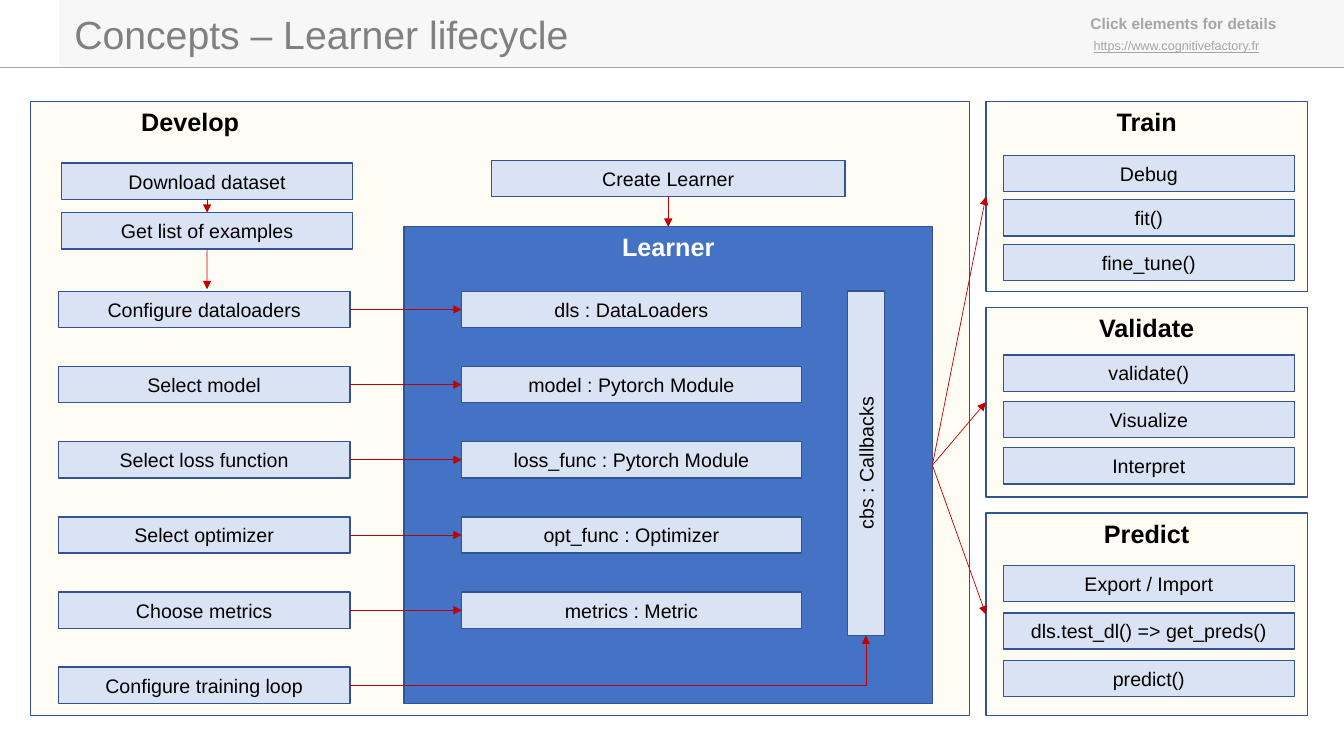
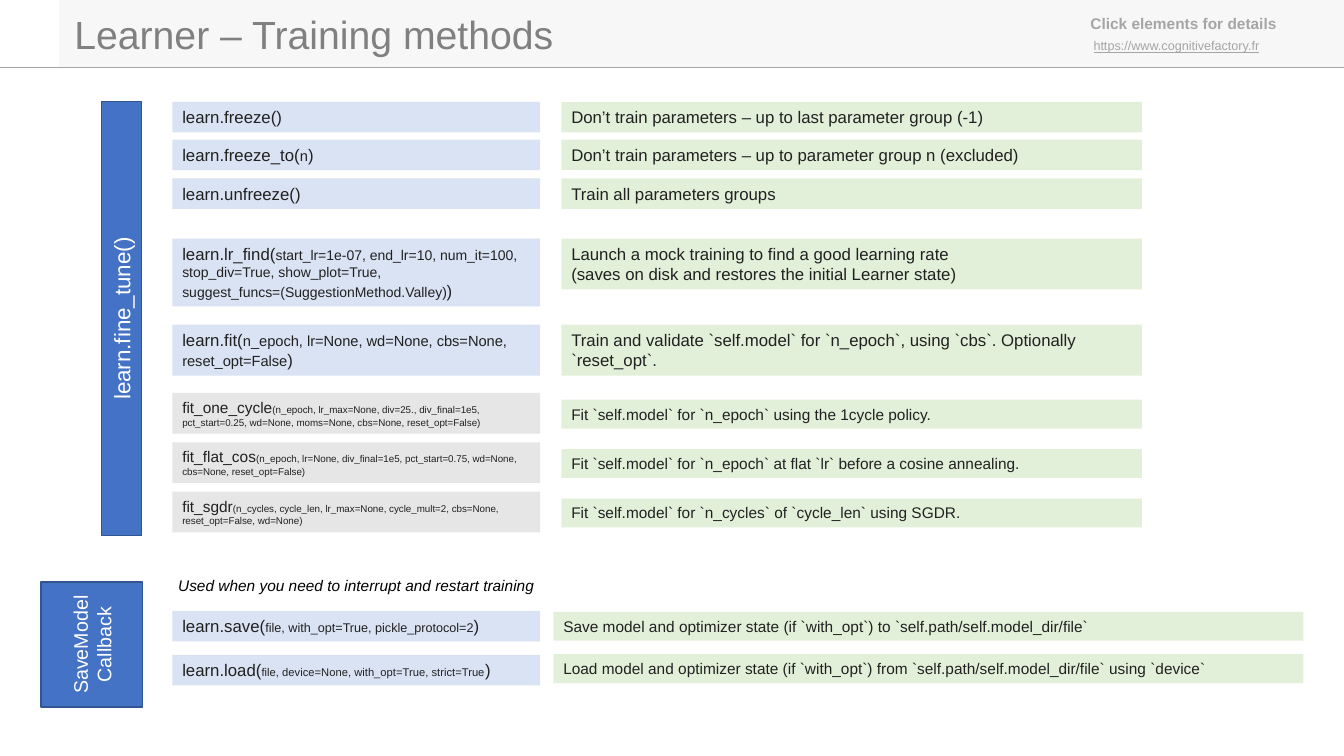
from lxml.etree import SubElement
from pptx import Presentation
from pptx.dml.color import RGBColor
from pptx.enum.shapes import MSO_CONNECTOR, MSO_SHAPE
from pptx.enum.text import MSO_ANCHOR, PP_ALIGN
from pptx.oxml.ns import qn
from pptx.util import Pt

FONT = "Arial"
BLACK, WHITE, INK = "000000", "FFFFFF", "212121"
GRAY, TITLE_GRAY, BAND = "A5A5A5", "808080", "F7F7F7"
CREAM, BLUE, PALE_BLUE, NAVY = "FFFCF3", "4472C4", "DAE3F3", "325491"
PALE_GREEN, PALE_GRAY, RED = "E2F0D9", "E7E6E6", "C00000"
TOP, RIGHT, BOTTOM, LEFT = 0, 3, 2, 1

BOX_WIDTH, BOX_HEIGHT = 208.1, 25.9
ROW_TOP, ROW_STEP = 208.1, 53.7
CODE_LEFT, CODE_WIDTH = 123.1, 262.8


def color(value):
    return RGBColor.from_string(value)


def style_run(run, size, ink, bold=None, italic=None, underline=None):
    font = run.font
    font.name, font.size = FONT, Pt(size)
    font.bold, font.italic, font.underline = bold, italic, underline
    font.color.rgb = color(ink)


def write(shape, text, size, ink, align=PP_ALIGN.LEFT, anchor=MSO_ANCHOR.TOP, **emphasis):
    frame = shape.text_frame
    frame.word_wrap = True
    frame.vertical_anchor = anchor
    frame.text = text
    for paragraph in frame.paragraphs:
        paragraph.alignment = align
        for run in paragraph.runs:
            style_run(run, size, ink, **emphasis)


def add_rectangle(slide, left, top, width, height, fill, outline=None):
    shape = slide.shapes.add_shape(MSO_SHAPE.RECTANGLE, Pt(left), Pt(top), Pt(width), Pt(height))
    shape.shadow.inherit = False
    shape.fill.solid()
    shape.fill.fore_color.rgb = color(fill)
    if outline:
        shape.line.color.rgb = color(outline)
        shape.line.width = Pt(1)
    else:
        shape.line.fill.background()
    return shape


def add_label(slide, left, top, width, height, text, size, ink, **emphasis):
    label = slide.shapes.add_textbox(Pt(left), Pt(top), Pt(width), Pt(height))
    write(label, text, size, ink, **emphasis)


def add_panel(slide, left, top, width, height, heading, fill=CREAM, ink=BLACK):
    panel = add_rectangle(slide, left, top, width, height, fill, NAVY)
    write(panel, heading, 18, ink, PP_ALIGN.CENTER, bold=True)
    return panel


def add_box(slide, left, top, text, width=BOX_WIDTH):
    box = add_rectangle(slide, left, top, width, BOX_HEIGHT, PALE_BLUE, NAVY)
    write(box, text, 14, BLACK, PP_ALIGN.CENTER, MSO_ANCHOR.MIDDLE)
    return box


def add_upright_box(slide, left, top, width, height, text, size, fill, ink):
    """Box reading from bottom to top; the arguments give its place as seen."""
    shift = (height - width) / 2
    box = add_rectangle(slide, left - shift, top + shift, height, width, fill, NAVY)
    box.rotation = 270
    write(box, text, size, ink, PP_ALIGN.CENTER, MSO_ANCHOR.MIDDLE)


def add_line(slide, start, end, ink, kind=MSO_CONNECTOR.STRAIGHT):
    line = slide.shapes.add_connector(kind, *(Pt(value) for value in (*start, *end)))
    line.line.color.rgb = color(ink)
    line.line.width = Pt(0.5)
    SubElement(line.element.spPr, qn("a:effectLst"))
    return line


def add_arrow(slide, start=(0, 0), end=(0, 0), kind=MSO_CONNECTOR.STRAIGHT):
    arrow = add_line(slide, start, end, RED, kind)
    SubElement(arrow.line._get_or_add_ln(), qn("a:tailEnd"), type="triangle")
    return arrow


def join(slide, source, source_side, target, target_side):
    arrow = add_arrow(slide)
    arrow.begin_connect(source, source_side)
    arrow.end_connect(target, target_side)


def add_titled_slide(presentation, title):
    slide = presentation.slides.add_slide(presentation.slide_layouts[6])
    add_rectangle(slide, 42.5, 0, 917.5, 48.2, BAND)
    add_line(slide, (0, 48.2), (960, 48.2), GRAY)
    add_label(slide, 771.8, 6.5, 152.6, 20.9, "Click elements for details", 11, GRAY, bold=True)
    add_label(slide, 774, 23.8, 150.5, 18, "https://www.cognitivefactory.fr", 9, GRAY, underline=True)
    add_label(slide, 46, 4, 375, 41, title, 28, TITLE_GRAY)
    return slide


def add_lifecycle_slide(presentation):
    slide = add_titled_slide(presentation, "Concepts – Learner lifecycle")
    develop = add_panel(slide, 21.6, 72.7, 671, 438.5, "Develop")
    develop.text_frame.margin_left = Pt(79.2)
    develop.text_frame.paragraphs[0].alignment = PP_ALIGN.LEFT
    learner = add_panel(slide, 288.7, 162, 377.3, 340.6, "Learner", BLUE, WHITE)

    download = add_box(slide, 43.9, 116.6, "Download dataset")
    examples = add_box(slide, 43.9, 151.9, "Get list of examples")
    join(slide, download, BOTTOM, examples, TOP)
    add_arrow(slide, end=(147.9, 206.6)).begin_connect(examples, BOTTOM)
    create = add_box(slide, 351, 114.5, "Create Learner", 252.7)
    join(slide, create, BOTTOM, learner, TOP)

    steps = [
        ("Configure dataloaders", "dls : DataLoaders"),
        ("Select model", "model : Pytorch Module"),
        ("Select loss function", "loss_func : Pytorch Module"),
        ("Select optimizer", "opt_func : Optimizer"),
        ("Choose metrics", "metrics : Metric"),
    ]
    for index, (step, attribute) in enumerate(steps):
        top = ROW_TOP + index * ROW_STEP
        step_box = add_box(slide, 41.8, top, step)
        attribute_box = add_box(slide, 329.8, top, attribute, 242.6)
        join(slide, step_box, RIGHT, attribute_box, LEFT)

    loop_top = ROW_TOP + len(steps) * ROW_STEP
    add_box(slide, 41.8, loop_top, "Configure training loop")
    add_upright_box(slide, 605.2, 207.7, 26.6, 246.2, "cbs : Callbacks", 14, PALE_BLUE, BLACK)
    elbow = add_arrow(slide, (249.9, loop_top + BOX_HEIGHT / 2), (618.5, 454), MSO_CONNECTOR.ELBOW)
    elbow.element.spPr.find(qn("a:prstGeom")).set("prst", "bentConnector2")

    phases = [
        ("Train", 72.7, 135.4, 110.9, 31.8, ["Debug", "fit()", "fine_tune()"]),
        ("Validate", 219.6, 135.4, 253.6, 33.1, ["validate()", "Visualize", "Interpret"]),
        ("Predict", 366.5, 144.7, 404, 33.8,
         ["Export / Import", "dls.test_dl() => get_preds()", "predict()"]),
    ]
    for heading, top, height, first_top, step, actions in phases:
        panel = add_panel(slide, 704.2, top, 229.7, height, heading)
        for index, action in enumerate(actions):
            add_box(slide, 716.6, first_top + index * step, action)
        join(slide, learner, RIGHT, panel, LEFT)


def add_code(slide, top, height, fill, pieces):
    """Box with one signature, given as (text, size) pieces."""
    box = add_rectangle(slide, CODE_LEFT, top, CODE_WIDTH, height, fill)
    (name, name_size), *others = pieces
    write(box, name, name_size, INK)
    for text, size in others:
        run = box.text_frame.paragraphs[0].add_run()
        run.text = text
        style_run(run, size, INK)


def add_description(slide, top, height, text, size, left=401, width=414.7):
    box = add_rectangle(slide, left, top, width, height, PALE_GREEN)
    write(box, text, size, INK)


def add_methods_slide(presentation):
    slide = add_titled_slide(presentation, "Learner – Training methods")
    add_upright_box(slide, 72.4, 72.4, 28.8, 310.3, "learn.fine_tune()", 16, BLUE, WHITE)
    add_upright_box(slide, 29.2, 415.8, 72.7, 89.3, "SaveModel\nCallback", 14, BLUE, WHITE)

    methods = [
        (72.7, 21.8, 21.8, [("learn.freeze()", 12)],
         "Don’t train parameters – up to last parameter group (-1)"),
        (99.7, 21.8, 21.8, [("learn.freeze_to(", 12), ("n", 10.5), (")", 12)],
         "Don’t train parameters – up to parameter group n (excluded)"),
        (127.4, 21.8, 21.8, [("learn.unfreeze()", 12)], "Train all parameters groups"),
        (170.4, 48.5, 36.4,
         [("learn.lr_find(", 12),
          ("start_lr=1e-07, end_lr=10, num_it=100, stop_div=True, show_plot=True, "
           "suggest_funcs=(SuggestionMethod.Valley)", 10), (")", 12)],
         "Launch a mock training to find a good learning rate\v"
         "(saves on disk and restores the initial Learner state)"),
        (232, 36.4, 36.4,
         [("learn.fit(", 12),
          ("n_epoch, lr=None, wd=None, cbs=None, reset_opt=False", 10.5), (")", 12)],
         "Train and validate `self.model` for `n_epoch`, using `cbs`. Optionally `reset_opt`."),
    ]
    for top, code_height, description_height, pieces, description in methods:
        add_code(slide, top, code_height, PALE_BLUE, pieces)
        add_description(slide, top, description_height, description, 12)

    schedules = [
        ("fit_one_cycle",
         "(n_epoch, lr_max=None, div=25., div_final=1e5, pct_start=0.25, wd=None, "
         "moms=None, cbs=None, reset_opt=False)",
         "Fit `self.model` for `n_epoch` using the 1cycle policy."),
        ("fit_flat_cos",
         "(n_epoch, lr=None, div_final=1e5, pct_start=0.75, wd=None, cbs=None, reset_opt=False)",
         "Fit `self.model` for `n_epoch` at flat `lr` before a cosine annealing."),
        ("fit_sgdr",
         "(n_cycles, cycle_len, lr_max=None, cycle_mult=2, cbs=None, reset_opt=False, wd=None)",
         "Fit `self.model` for `n_cycles` of `cycle_len` using SGDR."),
    ]
    for index, (name, arguments, description) in enumerate(schedules):
        top = 280.6 + index * 35.3
        add_code(slide, top, 29.1, PALE_GRAY, [(name, 11), (arguments, 7)])
        add_description(slide, top + 4.9, 20.6, description, 11)

    add_label(slide, 120.2, 408.2, 280, 20.6,
              "Used when you need to interrupt and restart training", 11, BLACK, italic=True)
    checkpoints = [
        (436.3, 437, "learn.save(", "file, with_opt=True, pickle_protocol=2", 9,
         "Save model and optimizer state (if `with_opt`) to `self.path/self.model_dir/file`"),
        (467.8, 467.3, "learn.load(", "file, device=None, with_opt=True, strict=True", 8,
         "Load model and optimizer state (if `with_opt`) from "
         "`self.path/self.model_dir/file` using `device`"),
    ]
    for code_top, description_top, name, arguments, size, description in checkpoints:
        add_code(slide, code_top, 21.8, PALE_BLUE, [(name, 12), (arguments, size), (")", 12)])
        add_description(slide, description_top, 20.6, description, 11, 395.3, 535.7)


def main():
    presentation = Presentation()
    presentation.slide_width, presentation.slide_height = Pt(960), Pt(540)
    add_lifecycle_slide(presentation)
    add_methods_slide(presentation)
    presentation.save("out.pptx")


if __name__ == "__main__":
    main()
